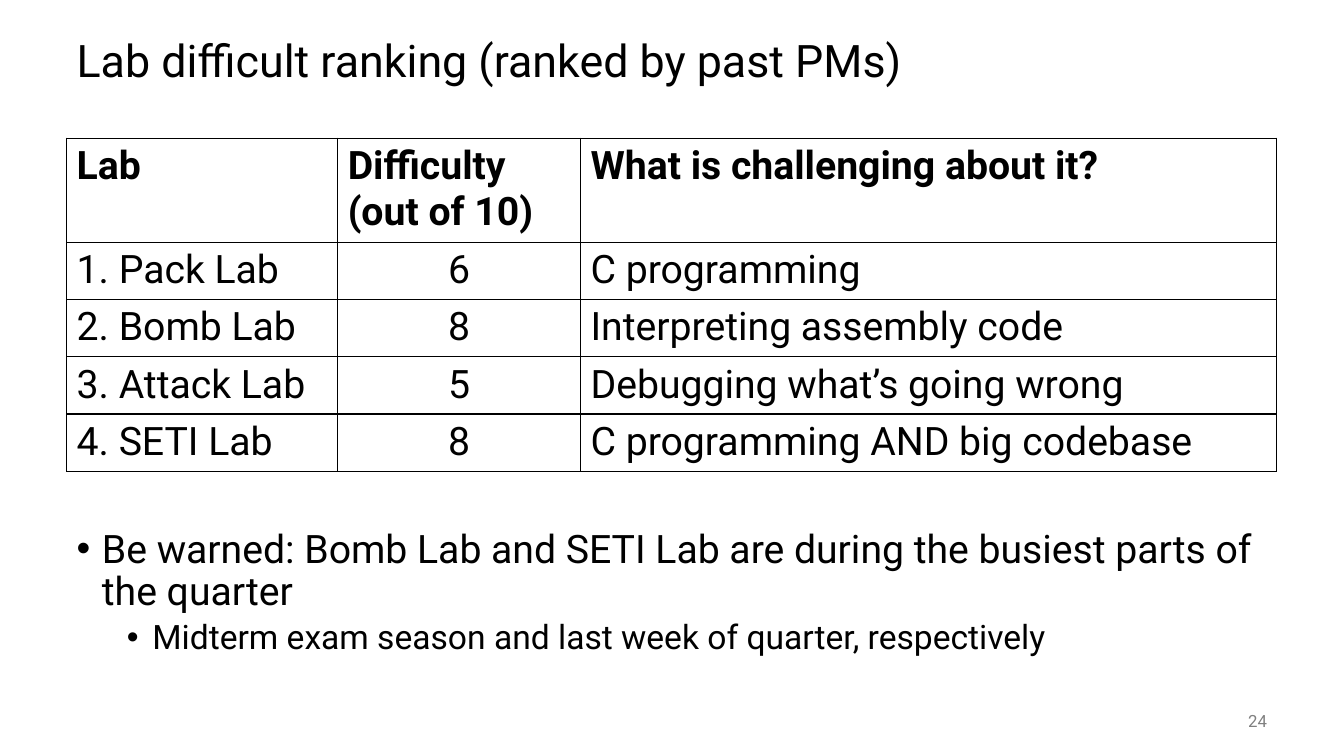
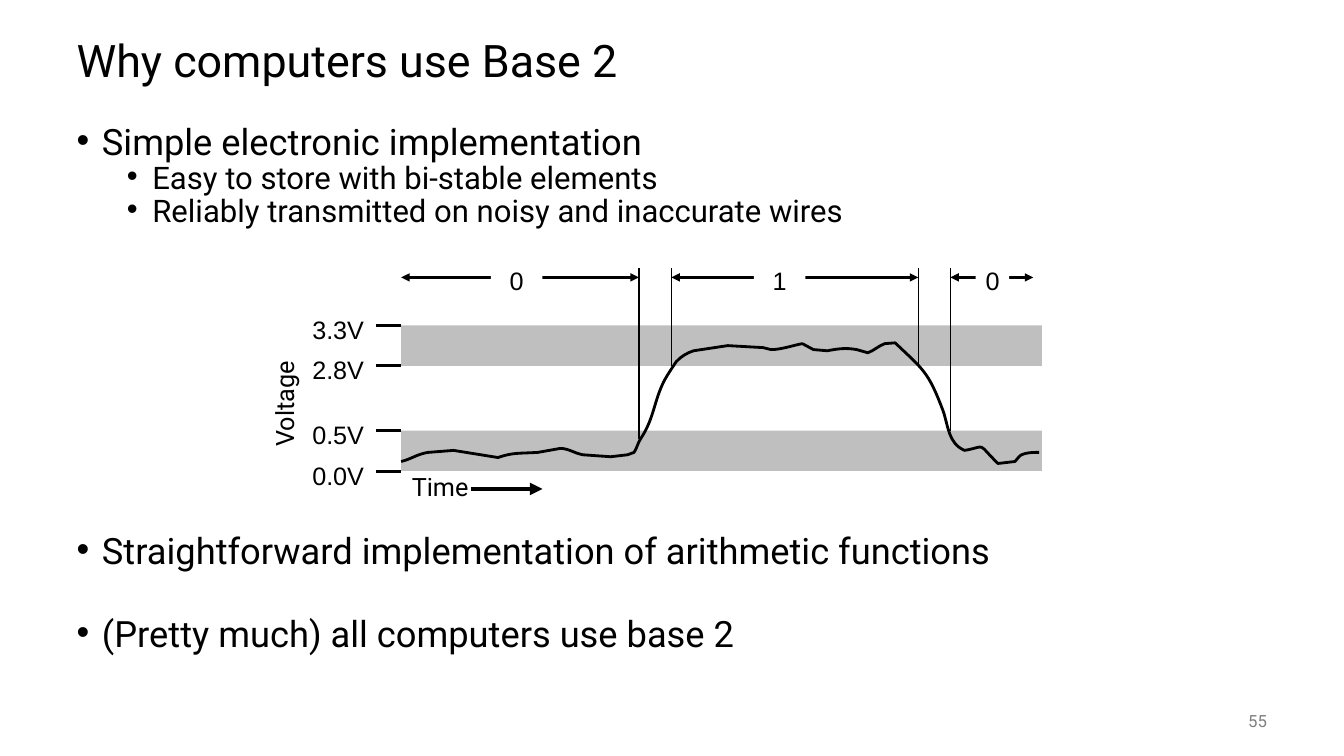
from dataclasses import dataclass

from lxml import etree
from pptx import Presentation
from pptx.dml.color import RGBColor
from pptx.enum import shapes, text
from pptx.oxml.ns import qn
from pptx.util import Cm, Pt

BLACK, WHITE, GREY, BAND = "000000", "FFFFFF", "808080", "BFBFBF"
ROBOTO, ARIAL = "Roboto", "Arial"
MARGIN, CONTENT_WIDTH = 1.68, 30.48
LEFT, CENTER, RIGHT = text.PP_ALIGN.LEFT, text.PP_ALIGN.CENTER, text.PP_ALIGN.RIGHT


@dataclass(frozen=True)
class Box:
    """Position and size in centimetres."""
    left: float
    top: float
    width: float
    height: float

    def lengths(self):
        return Cm(self.left), Cm(self.top), Cm(self.width), Cm(self.height)


@dataclass(frozen=True)
class Bullet:
    words: str
    size: float
    level: int = 0
    before: float = 0


@dataclass(frozen=True)
class Level:
    label: str
    y: float


@dataclass(frozen=True)
class Bit:
    """A time span that reads as one bit, with the box of its digit."""
    digit: str
    start: float
    end: float
    digit_left: float
    digit_width: float


TITLE = Box(MARGIN, 0.64, CONTENT_WIDTH, 1.9)
PAGE_NUMBER = Box(29.64, 17.65, 2.54, 1.02)

LAB_COLUMNS = (6.83, 6.12, 17.53)
LAB_ROWS = (
    ("Lab", "Difficulty (out of 10)", "What is challenging about it?"),
    ("1. Pack Lab", "6", "C programming"),
    ("2. Bomb Lab", "8", "Interpreting assembly code"),
    ("3. Attack Lab", "5", "Debugging what’s going wrong"),
    ("4. SETI Lab", "8", "C programming AND big codebase"),
)
WARNINGS = (
    Bullet("Be warned: Bomb Lab and SETI Lab are during the busiest parts of the quarter", 28),
    Bullet("Midterm exam season and last week of quarter, respectively", 24, 1, 5),
)
REASONS = (
    Bullet("Simple electronic implementation", 25.9),
    Bullet("Easy to store with bi-stable elements", 22.2, 1, 5),
    Bullet("Reliably transmitted on noisy and inaccurate wires", 22.2, 1, 5),
    Bullet("Straightforward implementation of arithmetic functions", 25.9, 0, 223),
    Bullet("(Pretty much) all computers use base 2", 25.9, 0, 37.5),
)

PLOT_LEFT, PLOT_WIDTH = 10.11, 16.15
BAND_HEIGHT, LABEL_HEIGHT = 1.02, 1.02
TICK_LENGTH = 0.64
LABEL_LEFT = 7.62
BAND_TOPS = (10.85, 8.2)
LEVELS = (Level("3.3V", 8.2), Level("2.8V", 9.22), Level("0.5V", 10.85), Level("0.0V", 11.88))
BITS = (
    Bit("0", PLOT_LEFT, 16.1, 12.37, 1.3),
    Bit("1", 16.92, 23.14, 19, 1.3),
    Bit("0", 23.95, 26.04, 24.59, 0.84),
)
BIT_ARROW_Y, GUIDE_TOP = 6.99, 6.76
GUIDES = ((16.1, 11.05), (16.92, 9.22), (23.14, 9.22), (23.95, 10.85))

# Each step holds one point for a straight piece, three for a Bézier piece.
SIGNAL_START = (PLOT_LEFT, 11.63)
SIGNAL_STEPS = (
    ((10.34, 11.58), (10.54, 11.43), (10.8, 11.4)),
    ((11.43, 11.35),),
    ((12.55, 11.53),),
    ((12.93, 11.4), (13.06, 11.43), (13.56, 11.4)),
    ((14.12, 11.3),),
    ((14.33, 11.3), (14.5, 11.43), (14.68, 11.46)),
    ((15.39, 11.51),),
    ((15.82, 11.46),),
    ((15.98, 11.4),),
    ((16.05, 11.3), (16.08, 11.15), (16.15, 11.05)),
    ((16.46, 10.59), (16.48, 10.16), (16.69, 9.7)),
    ((16.76, 9.53), (16.94, 9.27), (17.04, 9.12)),
    ((17.15, 8.99), (17.32, 8.89), (17.48, 8.84)),
    ((18.34, 8.71),),
    ((19.23, 8.76),),
    ((19.43, 8.81),),
    ((19.69, 8.81), (19.96, 8.71), (20.22, 8.66)),
    ((20.5, 8.81),),
    ((20.85, 8.84),),
    ((21.11, 8.79), (21.31, 8.76), (21.59, 8.81)),
    ((21.87, 8.89),),
    ((22.02, 8.84), (22.15, 8.71), (22.3, 8.66)),
    ((22.56, 8.64),),
    ((23.27, 9.32), (23.39, 9.35), (23.77, 10.36)),
    ((23.9, 10.74), (23.9, 11.18), (24.31, 11.35)),
    ((24.89, 11.25), (24.59, 11.13), (25.15, 11.68)),
    ((25.58, 11.63),),
    ((25.63, 11.61), (25.63, 11.53), (25.68, 11.51)),
    ((25.78, 11.4), (26.04, 11.4), (26.19, 11.4)),
)


def color(value: str) -> RGBColor:
    return RGBColor.from_string(value)


def style_font(paragraph, size: float, name: str = ROBOTO, ink: str = BLACK, bold: bool = False):
    font = paragraph.font
    font.size, font.name, font.bold = Pt(size), name, bold
    font.color.rgb = color(ink)


def add_text(slide, box: Box, words: str, size: float, name: str = ROBOTO, ink: str = BLACK,
             align=LEFT, anchor=text.MSO_ANCHOR.TOP):
    shape = slide.shapes.add_textbox(*box.lengths())
    frame = shape.text_frame
    frame.word_wrap, frame.vertical_anchor = True, anchor
    paragraph = frame.paragraphs[0]
    paragraph.text, paragraph.alignment = words, align
    style_font(paragraph, size, name, ink)
    return shape


def add_bullets(slide, box: Box, bullets: tuple[Bullet, ...], line_spacing: float):
    frame = slide.shapes.add_textbox(*box.lengths()).text_frame
    frame.word_wrap = True
    for index, bullet in enumerate(bullets):
        paragraph = frame.add_paragraph() if index else frame.paragraphs[0]
        paragraph.text, paragraph.level = bullet.words, bullet.level
        properties = paragraph._p.get_or_add_pPr()
        properties.set("marL", str(Cm(0.64 + 1.27 * bullet.level)))
        properties.set("indent", str(-Cm(0.64)))
        etree.SubElement(properties, qn("a:buFont")).set("typeface", ARIAL)
        etree.SubElement(properties, qn("a:buChar")).set("char", "•")
        paragraph.line_spacing = line_spacing
        paragraph.space_before = Pt(bullet.before)
        style_font(paragraph, bullet.size)


def add_line(slide, start: tuple[float, float], end: tuple[float, float], width: float,
             heads: tuple[str, ...] = ()):
    """Draw a line; heads names the XML ends (headEnd, tailEnd) that get a triangle."""
    ends = (Cm(value) for value in (*start, *end))
    connector = slide.shapes.add_connector(shapes.MSO_CONNECTOR.STRAIGHT, *ends)
    connector.line.width = Pt(width)
    connector.line.color.rgb = color(BLACK)
    for head in heads:
        etree.SubElement(connector.line._get_or_add_ln(), qn(f"a:{head}")).set("type", "triangle")
    etree.SubElement(connector._element.spPr, qn("a:effectLst"))


def add_band(slide, box: Box):
    shape = slide.shapes.add_shape(shapes.MSO_SHAPE.RECTANGLE, *box.lengths())
    shape.shadow.inherit = False
    shape.fill.solid()
    shape.fill.fore_color.rgb = color(BAND)
    shape.line.fill.background()


def add_signal(slide):
    """Draw the voltage trace, turning three-point steps into Bézier curves."""
    points = [(Cm(x), Cm(y)) for step in SIGNAL_STEPS for x, y in step]
    builder = slide.shapes.build_freeform(*(Cm(value) for value in SIGNAL_START))
    builder.add_line_segments(points, close=False)
    shape = builder.convert_to_shape()
    segments = iter(list(shape._element.iter(qn("a:lnTo"))))
    for step in SIGNAL_STEPS:
        pieces = [next(segments) for _ in step]
        if len(pieces) == 3:
            curve = etree.Element(qn("a:cubicBezTo"))
            pieces[0].addprevious(curve)
            for piece in pieces:
                curve.append(piece[0])
                piece.getparent().remove(piece)
    shape.shadow.inherit = False
    shape.fill.background()
    shape.line.width = Pt(2)
    shape.line.color.rgb = color(BLACK)


def add_cell_borders(cell):
    properties = cell._tc.get_or_add_tcPr()
    for side in ("lnL", "lnR", "lnT", "lnB"):
        border = etree.SubElement(properties, qn(f"a:{side}"), w=str(Pt(1)))
        fill = etree.SubElement(border, qn("a:solidFill"))
        etree.SubElement(fill, qn("a:srgbClr")).set("val", BLACK)


def add_lab_table(slide):
    header_height, row_height = 2.53, 1.37
    height = header_height + row_height * (len(LAB_ROWS) - 1)
    box = Box(MARGIN, 3.48, CONTENT_WIDTH, height)
    table = slide.shapes.add_table(len(LAB_ROWS), len(LAB_COLUMNS), *box.lengths()).table
    table.first_row = table.horz_banding = False
    for column, width in zip(table.columns, LAB_COLUMNS):
        column.width = Cm(width)
    for row_index, row in enumerate(LAB_ROWS):
        is_header = row_index == 0
        table.rows[row_index].height = Cm(header_height if is_header else row_height)
        for column_index, words in enumerate(row):
            cell = table.cell(row_index, column_index)
            add_cell_borders(cell)
            cell.fill.background()
            paragraph = cell.text_frame.paragraphs[0]
            paragraph.text = words
            paragraph.alignment = CENTER if column_index == 1 and not is_header else LEFT
            style_font(paragraph, 28, bold=is_header)


def add_voltage_diagram(slide):
    for top in BAND_TOPS:
        add_band(slide, Box(PLOT_LEFT, top, PLOT_WIDTH, BAND_HEIGHT))
    add_signal(slide)
    tick_left = PLOT_LEFT - TICK_LENGTH
    for level in LEVELS:
        add_line(slide, (PLOT_LEFT, level.y), (tick_left, level.y), 2)
        label_box = Box(LABEL_LEFT, level.y - 0.41, tick_left - LABEL_LEFT, LABEL_HEIGHT)
        label = add_text(slide, label_box, level.label, 18, ARIAL)
        label.text_frame.margin_right = 0
    for x, bottom in GUIDES:
        add_line(slide, (x, GUIDE_TOP), (x, bottom), 1)
    for bit in BITS:
        add_line(slide, (bit.start, BIT_ARROW_Y), (bit.end, BIT_ARROW_Y), 2,
                 ("headEnd", "tailEnd"))
        digit = add_text(slide, Box(bit.digit_left, 6.55, bit.digit_width, LABEL_HEIGHT),
                         bit.digit, 18, ARIAL, align=CENTER)
        digit.fill.solid()
        digit.fill.fore_color.rgb = color(WHITE)
    add_text(slide, Box(5.82, 9.65, 2.69, LABEL_HEIGHT), "Voltage", 18).rotation = 270
    add_text(slide, Box(10.13, 11.76, 2.69, LABEL_HEIGHT), "Time", 18)
    add_line(slide, (11.86, 12.32), (13.67, 12.32), 3, ("tailEnd",))


def add_slide(presentation, title: str, number: int):
    """Add a blank slide with the shared title and page number."""
    slide = presentation.slides.add_slide(presentation.slide_layouts[6])
    heading = add_text(slide, TITLE, title, 32, anchor=text.MSO_ANCHOR.MIDDLE)
    heading.text_frame.paragraphs[0].line_spacing = 0.9
    add_text(slide, PAGE_NUMBER, str(number), 12, ink=GREY, align=RIGHT,
             anchor=text.MSO_ANCHOR.MIDDLE)
    return slide


def main():
    presentation = Presentation()
    presentation.slide_width, presentation.slide_height = Cm(33.87), Cm(19.05)

    ranking = add_slide(presentation, "Lab difficult ranking (ranked by past PMs)", 24)
    add_lab_table(ranking)
    add_bullets(ranking, Box(MARGIN, 13.21, CONTENT_WIDTH, 3.94), WARNINGS, 0.9)

    base_two = add_slide(presentation, "Why computers use Base 2", 55)
    add_bullets(base_two, Box(MARGIN, 3.18, CONTENT_WIDTH, 13.97), REASONS, 0.7)
    add_voltage_diagram(base_two)

    presentation.save("out.pptx")


if __name__ == "__main__":
    main()
